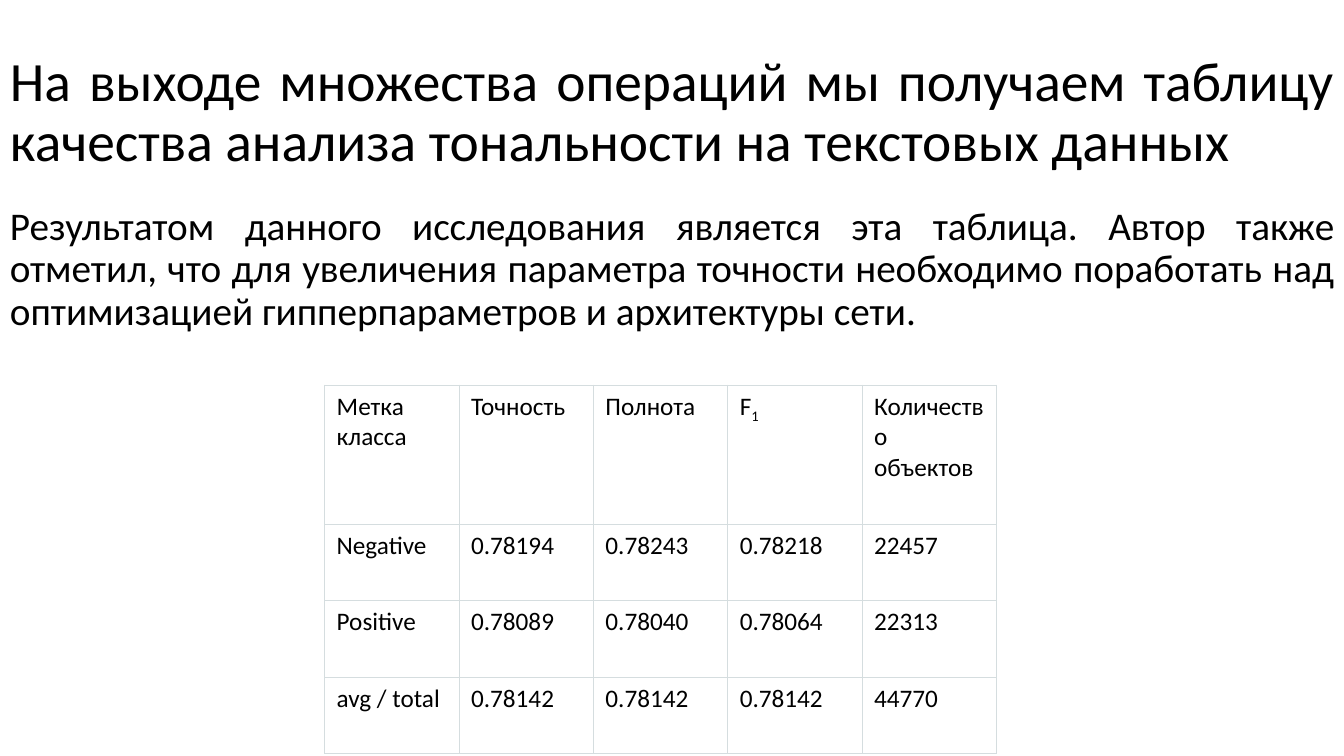
import pptx
import pptx.util
import pptx.dml.color
import pptx.enum.text
import pptx.oxml
import pptx.oxml.ns

SLIDE_WIDTH, SLIDE_HEIGHT = 13.33, 7.5
COLORS = {"text": "000000", "cell": "FFFFFF", "border": "D5DDDF"}
FONT = "Calibri"

TITLE = "На выходе множества операций мы получаем таблицу качества анализа тональности на текстовых данных"
SUMMARY = (
    "Результатом данного исследования является эта таблица. Автор также отметил, "
    "что для увеличения параметра точности необходимо поработать над "
    "оптимизацией гипперпараметров и архитектуры сети."
)
SUBSCRIPT_MARK = "_"
QUALITY_ROWS = [
    ["Метка класса", "Точность", "Полнота", "F_1", "Количество объектов"],
    ["Negative", "0.78194", "0.78243", "0.78218", "22457"],
    ["Positive", "0.78089", "0.78040", "0.78064", "22313"],
    ["avg / total", "0.78142", "0.78142", "0.78142", "44770"],
]
HEADER_HEIGHT, ROW_HEIGHT = 1.38, 0.76
CELL_MARGINS = {"margin_left": 0.12, "margin_top": 0.06, "margin_right": 0.12, "margin_bottom": 0.09}


def rgb(name):
    return pptx.dml.color.RGBColor.from_string(COLORS[name])


def set_attributes(target, values):
    for name, value in values.items():
        setattr(target, name, value)


def add_span(para, text, size):
    span = para.add_run()
    span.text = text
    set_attributes(span.font, {"name": FONT, "size": pptx.util.Pt(size)})
    span.font.color.rgb = rgb("text")
    return span


def add_justified_text(page, box, text, size, anchor, space_before=0):
    frame = page.shapes.add_textbox(*map(pptx.util.Inches, box)).text_frame
    set_attributes(frame, {"word_wrap": True, "vertical_anchor": anchor})
    para = frame.paragraphs[0]
    set_attributes(para, {
        "alignment": pptx.enum.text.PP_ALIGN.JUSTIFY,
        "line_spacing": 0.9,
        "space_before": pptx.util.Pt(space_before),
    })
    add_span(para, text, size)


def add_borders(cell):
    """Outline all four sides; the lines must precede the fill in the cell XML."""
    properties = cell._tc.get_or_add_tcPr()
    for position, side in enumerate(("lnL", "lnR", "lnT", "lnB")):
        line = pptx.oxml.parse_xml(
            f'<a:{side} {pptx.oxml.ns.nsdecls("a")} w="{pptx.util.Pt(0.75)}">'
            f'<a:solidFill><a:srgbClr val="{COLORS["border"]}"/></a:solidFill></a:{side}>'
        )
        properties.insert(position, line)


def fill_cell(cell, text):
    cell.fill.solid()
    cell.fill.fore_color.rgb = rgb("cell")
    set_attributes(cell, {name: pptx.util.Inches(margin) for name, margin in CELL_MARGINS.items()})
    para = cell.text_frame.paragraphs[0]
    base, _, subscript = text.partition(SUBSCRIPT_MARK)
    add_span(para, base, 18)
    if subscript:
        span = add_span(para, subscript, 18)
        span._r.get_or_add_rPr().set("baseline", "-25000")
    add_borders(cell)


def add_quality_table(page, box):
    row_count, column_count = len(QUALITY_ROWS), len(QUALITY_ROWS[0])
    frame = page.shapes.add_table(row_count, column_count, *map(pptx.util.Inches, box))
    table = frame.table
    set_attributes(table, {"first_row": False, "horz_banding": False})
    for column in table.columns:
        column.width = pptx.util.Inches(box[2] / column_count)
    for index, texts in enumerate(QUALITY_ROWS):
        table.rows[index].height = pptx.util.Inches(ROW_HEIGHT if index else HEADER_HEIGHT)
        for cell, text in zip(table.rows[index].cells, texts):
            fill_cell(cell, text)


def build_result_slide(deck):
    page = deck.slides.add_slide(deck.slide_layouts[6])
    anchors = pptx.enum.text.MSO_ANCHOR
    add_justified_text(page, (0, 0.4, SLIDE_WIDTH, 1.45), TITLE, 39.6, anchors.MIDDLE)
    add_justified_text(page, (0, 2, SLIDE_WIDTH, 4.76), SUMMARY, 28, anchors.TOP, space_before=10)
    table_height = HEADER_HEIGHT + ROW_HEIGHT * (len(QUALITY_ROWS) - 1)
    add_quality_table(page, (3.22, 3.82, SLIDE_WIDTH / 2, table_height))


def main():
    deck = pptx.Presentation()
    set_attributes(deck, {
        "slide_width": pptx.util.Inches(SLIDE_WIDTH),
        "slide_height": pptx.util.Inches(SLIDE_HEIGHT),
    })
    build_result_slide(deck)
    deck.save("out.pptx")


if __name__ == "__main__":
    main()
